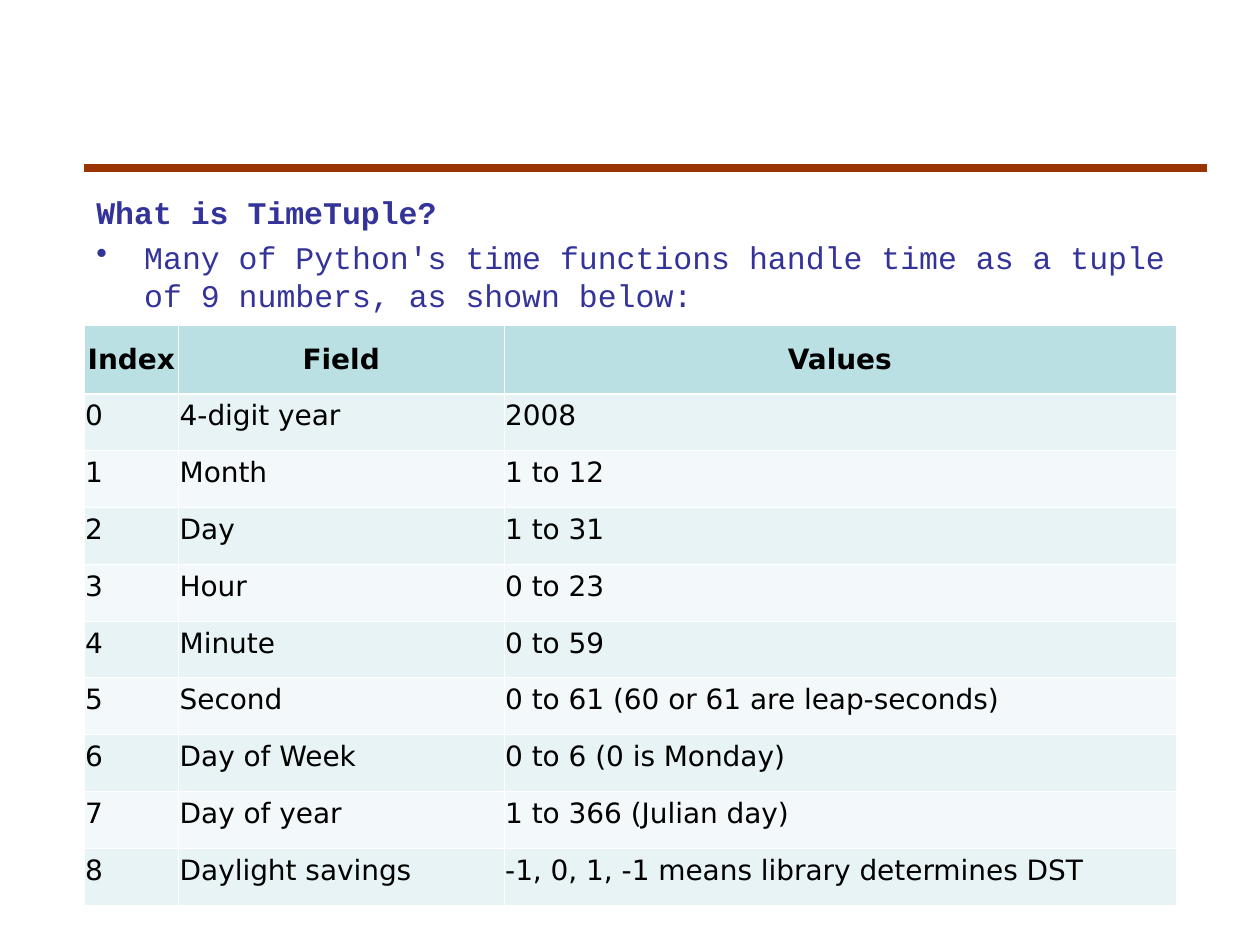
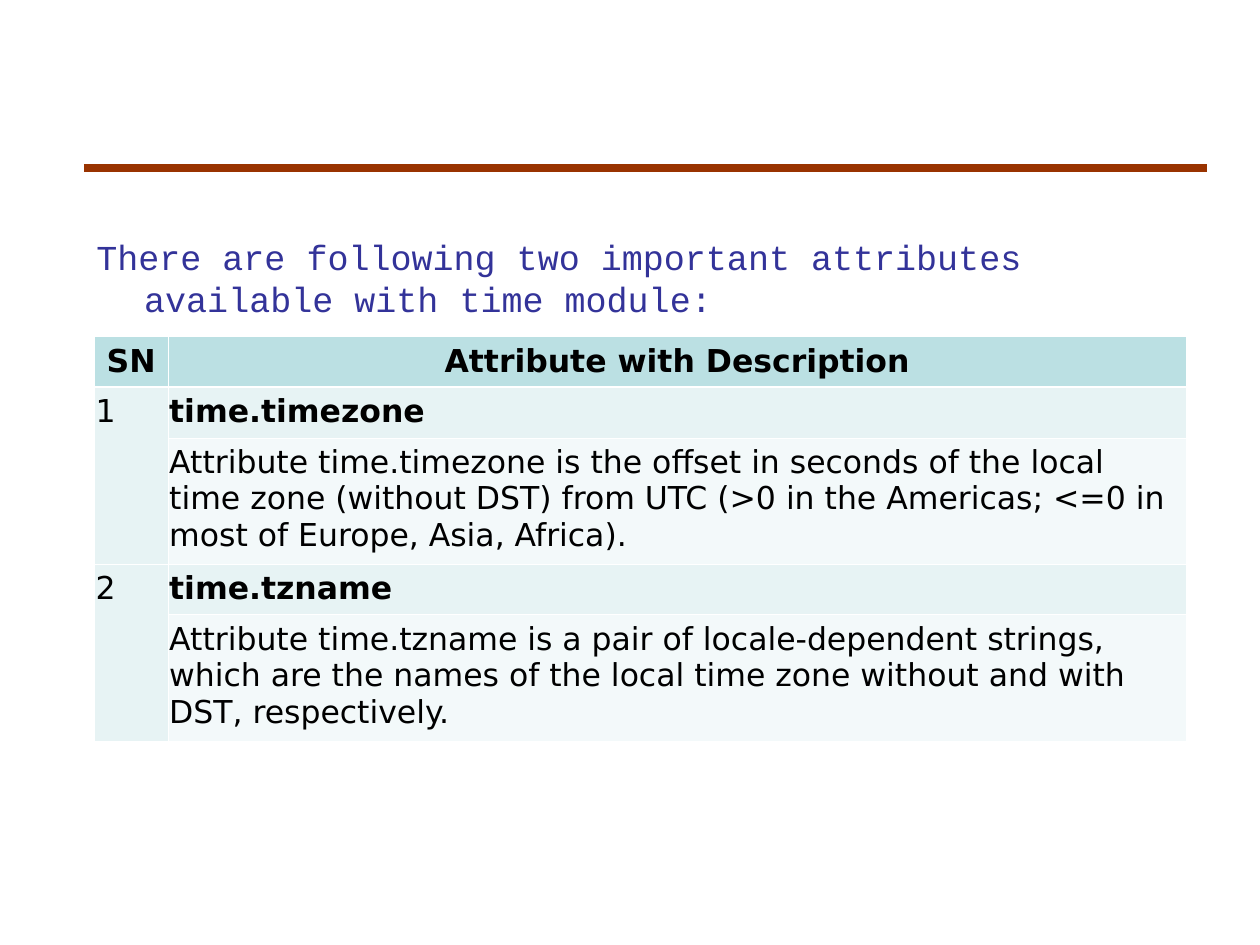
from lxml import etree
from pptx import Presentation
from pptx.dml.color import RGBColor
from pptx.enum.shapes import MSO_CONNECTOR
from pptx.enum.text import MSO_ANCHOR, PP_ALIGN
from pptx.oxml.ns import qn
from pptx.util import Inches, Pt

STRAIGHT = MSO_CONNECTOR.STRAIGHT
TOP, MIDDLE = MSO_ANCHOR.TOP, MSO_ANCHOR.MIDDLE
LEFT, CENTER = PP_ALIGN.LEFT, PP_ALIGN.CENTER

COLORS = {
    "rule": "993300",
    "mark": "000000",
    "body": "333399",
    "cell_text": "000000",
    "header": "BBE0E3",
    "odd": "E7F3F4",
    "even": "F3F9FA",
    "border": "FFFFFF",
}
BODY_FONT, TABLE_FONT = "Courier New", "DejaVu Sans"
THIN, THICK = 0.45, 1.47
HANGING = Inches(0.38)

TIME_FIELDS = [
    ("Index", "Field", "Values"),
    ("0", "4-digit year", "2008"),
    ("1", "Month", "1 to 12"),
    ("2", "Day", "1 to 31"),
    ("3", "Hour", "0 to 23"),
    ("4", "Minute", "0 to 59"),
    ("5", "Second", "0 to 61 (60 or 61 are leap-seconds)"),
    ("6", "Day of Week", "0 to 6 (0 is Monday)"),
    ("7", "Day of year", "1 to 366 (Julian day)"),
    ("8", "Daylight savings", "-1, 0, 1, -1 means library determines DST"),
]
ATTRIBUTES = [
    ("SN", "Attribute with Description"),
    ("1", "time.timezone"),
    ("", "Attribute time.timezone is the offset in seconds of the local time zone "
         "(without DST) from UTC (>0 in the Americas; <=0 in most of Europe, Asia, Africa)."),
    ("2", "time.tzname"),
    ("", "Attribute time.tzname is a pair of locale-dependent strings, which are the "
         "names of the local time zone without and with DST, respectively."),
]


def grid(units):
    """Length of grid units; the slide is 120 columns by 90 rows."""
    return Inches(units / 12)


def color(name):
    return RGBColor.from_string(COLORS[name])


def set_font(para, name, size, color_name, bold=False):
    font = para.font
    font.name, font.size, font.bold = name, Pt(size), bold
    font.color.rgb = color(color_name)


def add_line(page, start, end, color_name, width):
    line = page.shapes.add_connector(STRAIGHT, *map(grid, start + end))
    line.line.color.rgb = color(color_name)
    line.line.width = Pt(width)
    etree.SubElement(line._element.spPr, qn("a:effectLst"))


def add_page(deck):
    """Blank page with the shared rule and its small mark below."""
    page = deck.slides.add_slide(deck.slide_layouts[6])
    add_line(page, (8, 20), (8, 20), "mark", 0.75)
    add_line(page, (8, 16), (115, 16), "rule", 4.5)
    return page


def add_bullet(para):
    props = para._p.get_or_add_pPr()
    bullet_color = etree.SubElement(props, qn("a:buClr"))
    etree.SubElement(bullet_color, qn("a:srgbClr"), val=COLORS["body"])
    etree.SubElement(props, qn("a:buChar"), char="•")


def add_body(page, box, size, lines):
    """Hanging paragraphs; each line is (text, bold, bulleted)."""
    frame = page.shapes.add_textbox(*map(grid, box)).text_frame
    frame.word_wrap = True
    space = Pt(size / 4)
    frame.margin_top = Inches(0.05) + space
    for number, (text, bold, bulleted) in enumerate(lines):
        para = frame.add_paragraph() if number else frame.paragraphs[0]
        para.text = text
        props = para._p.get_or_add_pPr()
        props.set("marL", str(HANGING))
        props.set("indent", str(-HANGING))
        if bulleted:
            add_bullet(para)
        if number:
            para.space_before = space
        set_font(para, BODY_FONT, size, "body", bold)


def set_borders(cell, row):
    """White borders, thicker between the header and the first row."""
    props = cell._tc.get_or_add_tcPr()
    widths = {"L": THIN, "R": THIN, "T": THICK if row == 1 else THIN,
              "B": THICK if row == 0 else THIN}
    for side, width in widths.items():
        border = etree.SubElement(props, qn(f"a:ln{side}"), w=str(Pt(width)))
        fill = etree.SubElement(border, qn("a:solidFill"))
        etree.SubElement(fill, qn("a:srgbClr"), val=COLORS["border"])


def style_cell(cell, row, text, size, fill, bold):
    set_borders(cell, row)
    cell.fill.solid()
    cell.fill.fore_color.rgb = color(fill)
    cell.margin_left = cell.margin_right = Inches(0.01)
    cell.margin_top = cell.margin_bottom = Inches(0.05)
    cell.vertical_anchor = TOP if row else MIDDLE
    cell.text = text
    para = cell.text_frame.paragraphs[0]
    para.alignment = LEFT if row else CENTER
    set_font(para, TABLE_FONT, size, "cell_text", bold)


def add_grid_table(page, corner, columns, heights, rows, size, paired=False):
    """Banded table; paired rows share a merged first cell and a bold term."""
    extent = (sum(columns), sum(heights))
    table = page.shapes.add_table(
        len(rows), len(columns), *map(grid, corner + extent)).table
    table.first_row = table.horz_banding = False
    for column, width in zip(table.columns, columns):
        column.width = grid(width)
    for row, height in zip(table.rows, heights):
        row.height = grid(height)
    for row, texts in enumerate(rows):
        for column, text in enumerate(texts):
            odd = row % 2 == 1 or (paired and column == 0)
            fill = "header" if row == 0 else "odd" if odd else "even"
            bold = row == 0 or (paired and column == 1 and row % 2 == 1)
            style_cell(table.cell(row, column), row, text, size, fill, bold)
    if paired:
        for row in range(1, len(rows), 2):
            table.cell(row, 0).merge(table.cell(row + 1, 0))


def add_time_tuple_page(deck):
    page = add_page(deck)
    add_body(page, (8, 17, 107, 68), 18, [
        ("What is TimeTuple?", True, False),
        ("Many of Python's time functions handle time as a tuple of 9 numbers, "
         "as shown below:", False, True),
    ])
    add_grid_table(page, (8, 31), (9, 31, 64), [6.5] + [5.41] * 9, TIME_FIELDS, 16)


def add_attributes_page(deck):
    page = add_page(deck)
    add_body(page, (8, 21, 107, 60), 20, [
        ("There are following two important attributes available with time module:",
         False, False),
    ])
    add_grid_table(page, (9, 32), (7, 97), [4.86] + [4.85, 10.9] * 2,
                   ATTRIBUTES, 18, paired=True)


def main():
    deck = Presentation()
    deck.slide_width, deck.slide_height = grid(120), grid(90)
    add_time_tuple_page(deck)
    add_attributes_page(deck)
    deck.save("out.pptx")


if __name__ == "__main__":
    main()
